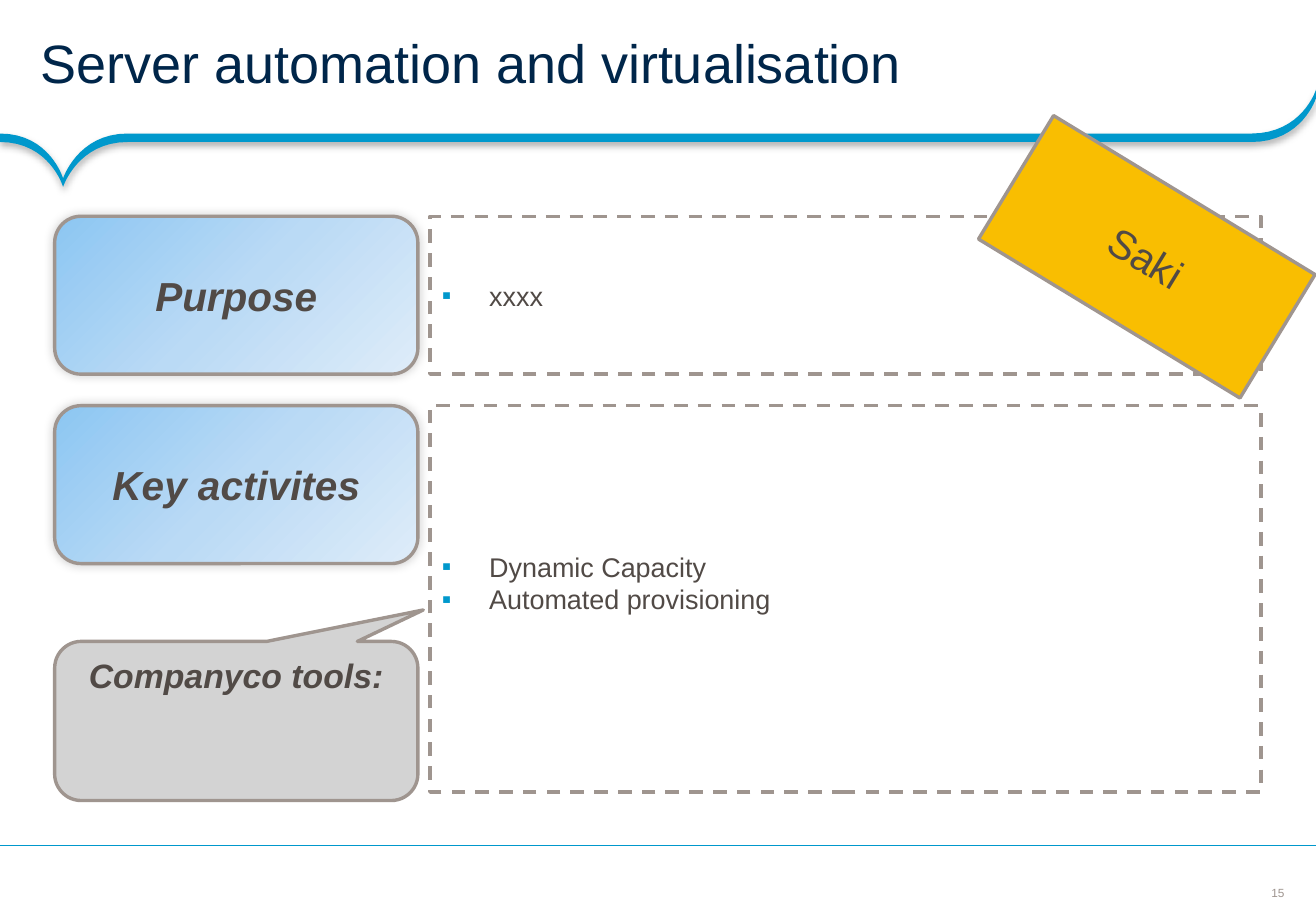
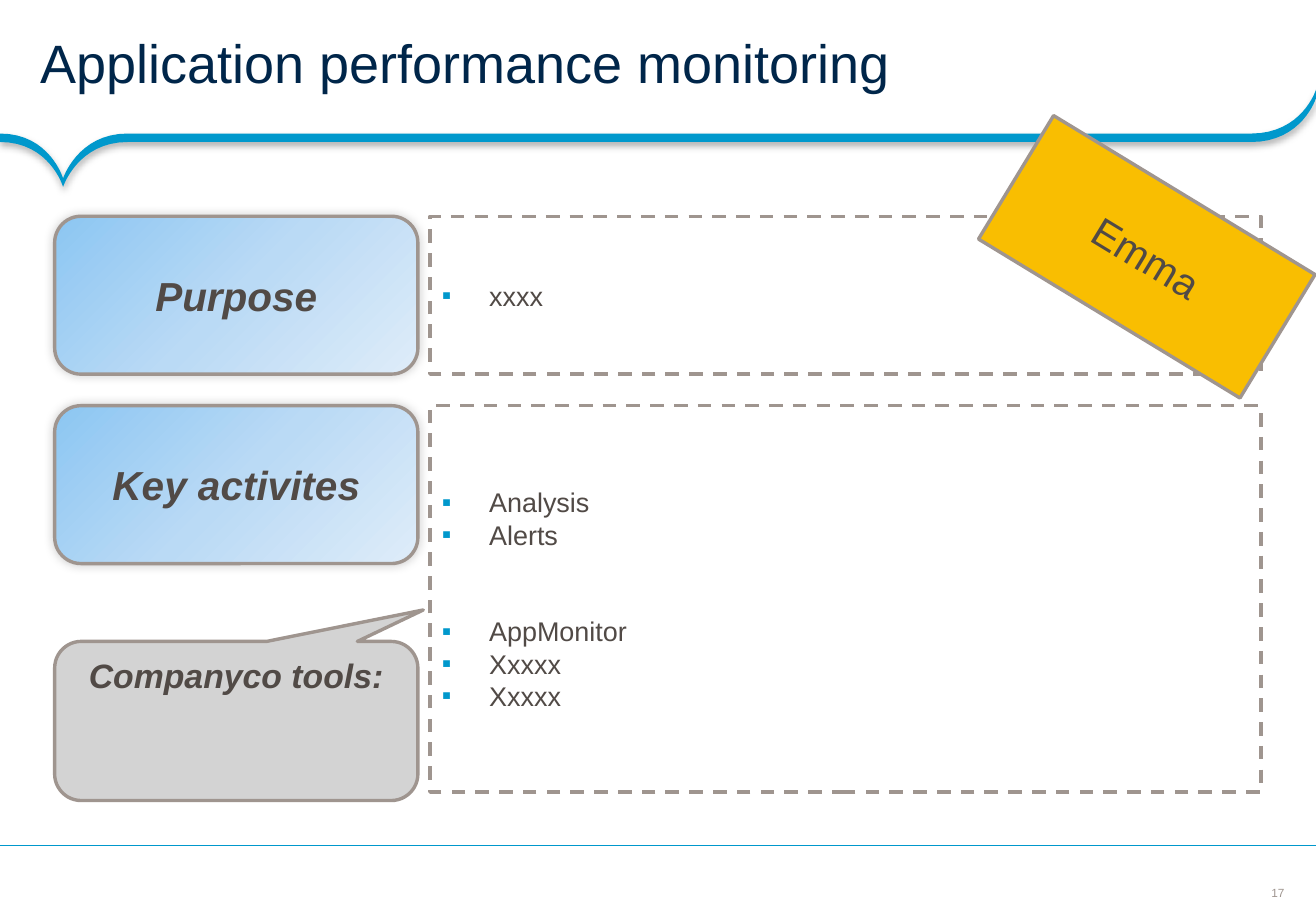
"""Build two capability slides that share one frame and one body arrangement."""
from dataclasses import dataclass
from typing import NamedTuple

from lxml import etree
from pptx import Presentation
from pptx import util as u
from pptx.dml.color import RGBColor
from pptx.enum import dml, shapes, text
from pptx.oxml.ns import qn


@dataclass(frozen=True)
class Theme:
    """Colours, font and type sizes of the deck."""
    font: str = "Arial"
    accent: str = "0098CC"
    navy: str = "00264A"
    ink: str = "514A46"
    stone: str = "9F958F"
    white: str = "FFFFFF"
    grey: str = "D3D3D3"
    amber: str = "F9BE01"
    sky: tuple = ((0, "8CC6F2"), (50, "BADAF5"), (100, "DEECF9"))
    title_size: int = 32
    label_size: int = 24
    callout_size: int = 20
    body_size: int = 16
    number_size: int = 7
    outline: float = 2
    rule: float = 0.75


class Box(NamedTuple):
    """A rectangle in points."""
    left: float
    top: float
    width: float
    height: float

    def emu(self):
        """Return the four lengths for python-pptx."""
        return [u.Pt(length) for length in self]


class Bullet(NamedTuple):
    """A list item and the gap above it."""
    words: str
    gap: float = 0


THEME = Theme()
SLIDE = Box(0, 0, 780, 540)
BODY = Box(32.4, 128.2, 715, 346.3)
LABEL_WIDTH, LABEL_HEIGHT = 215.3, 93.6
COLUMN_GAP, ROW_GAP = 7.2, 18.7
ACTIVITIES_HEIGHT = 229
CALLOUT_HEIGHT = 94.3
BLANK_LINE = 19


def colour(value):
    """Turn a hex string into a colour."""
    return RGBColor.from_string(value)


def add_node(parent, tag, **attributes):
    """Append a DrawingML element."""
    node = etree.SubElement(parent, qn(tag))
    for name, value in attributes.items():
        node.set(name, str(value))
    return node


def add_shadow(shape, opacity, blur, distance, angle):
    """Give a shape an outer black shadow."""
    shape.shadow.inherit = False
    effects = shape._element.spPr.find(qn("a:effectLst"))
    shadow = add_node(effects, "a:outerShdw", blurRad=u.Pt(blur), dist=u.Pt(distance),
                      dir=angle * 60000, algn="ctr", rotWithShape=0)
    black = add_node(shadow, "a:srgbClr", val="000000")
    add_node(black, "a:alpha", val=opacity * 1000)


def add_run(paragraph, words, size, ink=THEME.ink, strong=False):
    """Add one run in the deck font, bold italic when strong."""
    run = paragraph.add_run()
    run.text = words
    run.font.name = THEME.font
    run.font.size = u.Pt(size)
    run.font.color.rgb = colour(ink)
    if strong:
        run.font.bold = run.font.italic = True


def add_panel(slide, box, fill, preset=shapes.MSO_SHAPE.RECTANGLE):
    """Add an outlined preset shape without shadow."""
    shape = slide.shapes.add_shape(preset, *box.emu())
    shape.shadow.inherit = False
    shape.fill.solid()
    shape.fill.fore_color.rgb = colour(fill)
    shape.line.color.rgb = colour(THEME.stone)
    shape.line.width = u.Pt(THEME.outline)
    shape.text_frame.word_wrap = True
    shape.text_frame.vertical_anchor = text.MSO_ANCHOR.MIDDLE
    return shape


def add_caption(shape, words, size, strong=False):
    """Centre one line of text in a shape."""
    paragraph = shape.text_frame.paragraphs[0]
    paragraph.alignment = text.PP_ALIGN.CENTER
    add_run(paragraph, words, size, strong=strong)


def add_label(slide, box, words):
    """Add a rounded gradient label."""
    shape = add_panel(slide, box, THEME.white, shapes.MSO_SHAPE.ROUNDED_RECTANGLE)
    shape.fill.gradient()
    shape.fill.gradient_angle = 315
    stops = shape._element.spPr.find(qn("a:gradFill")).find(qn("a:gsLst"))
    for stop in list(stops):
        stops.remove(stop)
    for position, value in THEME.sky:
        stop = add_node(stops, "a:gs", pos=position * 1000)
        add_node(stop, "a:srgbClr", val=value)
    add_shadow(shape, 20, 6, 0, 225)
    add_caption(shape, words, THEME.label_size, strong=True)


def add_list(slide, box, bullets, space_below=0):
    """Add a dashed panel with a bulleted list."""
    shape = add_panel(slide, box, THEME.white)
    shape.line.dash_style = dml.MSO_LINE.DASH
    frame = shape.text_frame
    frame.margin_bottom = u.Pt(3.6 + space_below)
    for index, bullet in enumerate(bullets):
        paragraph = frame.add_paragraph() if index else frame.paragraphs[0]
        paragraph.alignment = text.PP_ALIGN.LEFT
        paragraph.space_before = u.Pt(bullet.gap)
        properties = paragraph._p.get_or_add_pPr()
        properties.set("marL", str(u.Pt(28)))
        properties.set("indent", str(u.Pt(-28)))
        add_node(add_node(properties, "a:buClr"), "a:srgbClr", val=THEME.accent)
        add_node(properties, "a:buFont", typeface=THEME.font)
        add_node(properties, "a:buChar", char="▪")
        add_run(paragraph, bullet.words, THEME.body_size)


def add_callout(slide, box, words):
    """Add a grey callout that points to the activities."""
    shape = add_panel(slide, box, THEME.grey, shapes.MSO_SHAPE.ROUNDED_RECTANGULAR_CALLOUT)
    for index, value in enumerate((0.515, -0.698, 0.167)):
        shape.adjustments[index] = value
    shape.text_frame.vertical_anchor = text.MSO_ANCHOR.TOP
    add_caption(shape, words, THEME.callout_size, strong=True)


def add_sticker(slide, box, words):
    """Add a tilted amber name sticker."""
    shape = add_panel(slide, box, THEME.amber)
    shape.rotation = 31.3
    add_caption(shape, words, THEME.label_size)


def curve(start, first, second, end, steps=16):
    """Sample a cubic curve."""
    points = []
    for step in range(steps + 1):
        t = step / steps
        weights = ((1 - t) ** 3, 3 * t * (1 - t) ** 2, 3 * t * t * (1 - t), t ** 3)
        points.append(tuple(
            sum(weight * point[axis] for weight, point in zip(weights, (start, first, second, end)))
            for axis in (0, 1)))
    return points


def add_ribbon(slide, box):
    """Add the curved band with its pointer under the title."""
    thickness = 5
    level = box.top + 26
    tip = (box.left + 37.4, box.top + 52.6)
    corner = (box.left + box.width, box.top)
    edge = (curve((box.left, level), (box.left + 29.5, level), tip, tip)
            + curve(tip, tip, (box.left + 46.1, level), (box.left + 75.6, level))
            + curve((corner[0] - 38.4, level), (corner[0] - 8.2, level), corner, corner))
    outline = edge + [(x, y + thickness) for x, y in reversed(edge)]
    points = [(u.Pt(x), u.Pt(y)) for x, y in outline]
    builder = slide.shapes.build_freeform(*points[0])
    builder.add_line_segments(points[1:], close=True)
    shape = builder.convert_to_shape()
    shape.fill.solid()
    shape.fill.fore_color.rgb = colour(THEME.accent)
    shape.line.fill.background()
    add_shadow(shape, 31, 4, 2, 90)


def add_title(slide, box, words):
    """Add the slide title."""
    frame = slide.shapes.add_textbox(*box.emu()).text_frame
    frame.word_wrap = True
    frame.vertical_anchor = text.MSO_ANCHOR.MIDDLE
    frame.margin_left, frame.margin_right = u.Pt(23.8), u.Pt(13)
    frame.margin_top = frame.margin_bottom = u.Pt(2.9)
    paragraph = frame.paragraphs[0]
    paragraph.line_spacing = 0.85
    add_run(paragraph, words, THEME.title_size, THEME.navy)


def add_footer(slide, box, number):
    """Add the footer rule and the slide number."""
    right = box.left + box.width
    rule = slide.shapes.add_connector(
        shapes.MSO_CONNECTOR.STRAIGHT, u.Pt(right), u.Pt(box.top), u.Pt(box.left), u.Pt(box.top))
    rule.line.color.rgb = colour(THEME.accent)
    rule.line.width = u.Pt(THEME.rule)
    add_node(rule._element.spPr, "a:effectLst")
    place = Box(right - 26.9, box.top + 23.8, 8.6, 8.6)
    frame = slide.shapes.add_textbox(*place.emu()).text_frame
    frame.word_wrap = False
    frame.auto_size = text.MSO_AUTO_SIZE.SHAPE_TO_FIT_TEXT
    frame.vertical_anchor = text.MSO_ANCHOR.MIDDLE
    frame.margin_left = frame.margin_right = frame.margin_top = frame.margin_bottom = 0
    paragraph = frame.paragraphs[0]
    paragraph.alignment = text.PP_ALIGN.CENTER
    add_run(paragraph, str(number), THEME.number_size, THEME.stone)


def add_body(slide, box, activities, space_below, owner):
    """Add labels, lists, callout and sticker inside a box."""
    list_left = box.left + LABEL_WIDTH + COLUMN_GAP
    list_width = box.left + box.width - list_left
    second_row = box.top + LABEL_HEIGHT + ROW_GAP
    for top, words in ((box.top, "Purpose"), (second_row, "Key activites")):
        add_label(slide, Box(box.left, top, LABEL_WIDTH, LABEL_HEIGHT), words)
    add_list(slide, Box(list_left, box.top, list_width, LABEL_HEIGHT), [Bullet("xxxx")])
    add_list(slide, Box(list_left, second_row, list_width, ACTIVITIES_HEIGHT),
             activities, space_below)
    callout_top = box.top + box.height - CALLOUT_HEIGHT
    add_callout(slide, Box(box.left, callout_top, LABEL_WIDTH, CALLOUT_HEIGHT), "Companyco tools:")
    add_sticker(slide, Box(box.left + box.width - 158.4, box.top - 18.8, 181.4, 85.7), owner)


def add_capability_slide(presentation, number, title, activities, owner, space_below=0):
    """Add one complete capability slide."""
    slide = presentation.slides.add_slide(presentation.slide_layouts[6])
    add_ribbon(slide, Box(SLIDE.left, 53.2, SLIDE.width, 57.6))
    add_footer(slide, Box(SLIDE.left, 501.1, SLIDE.width, 38.9), number)
    add_title(slide, Box(SLIDE.left, SLIDE.top, SLIDE.width, 79.2), title)
    add_body(slide, BODY, activities, space_below, owner)


def main():
    """Build and save the deck."""
    presentation = Presentation()
    presentation.slide_width, presentation.slide_height = u.Pt(SLIDE.width), u.Pt(SLIDE.height)
    add_capability_slide(
        presentation, 15, "Server automation and virtualisation",
        [Bullet("Dynamic Capacity"), Bullet("Automated provisioning")], "Saki", BLANK_LINE)
    add_capability_slide(
        presentation, 17, "Application performance monitoring",
        [Bullet("Analysis"), Bullet("Alerts"), Bullet("AppMonitor", 2 * BLANK_LINE),
         Bullet("Xxxxx"), Bullet("Xxxxx")], "Emma")
    presentation.save("out.pptx")


if __name__ == "__main__":
    main()
